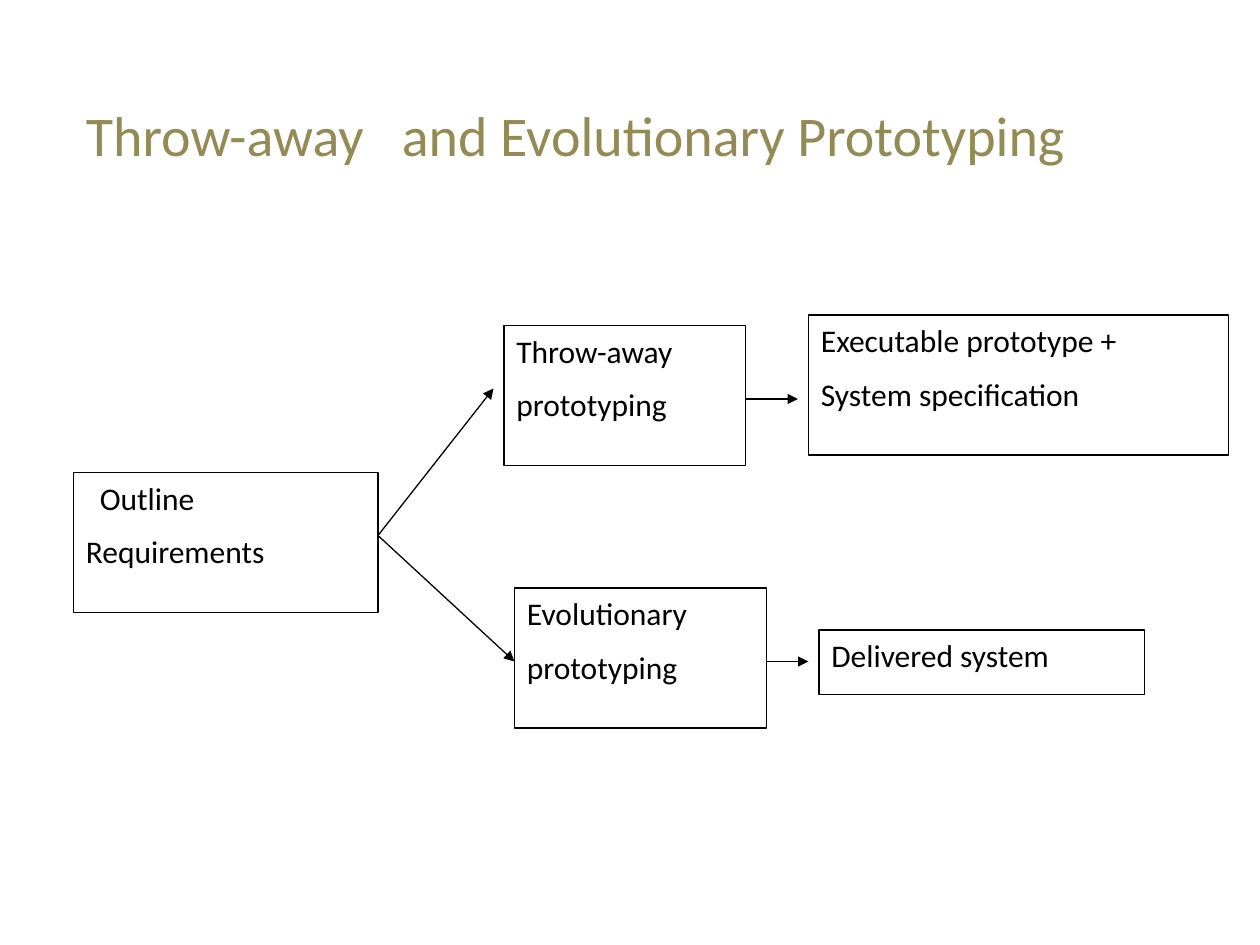
from dataclasses import dataclass

from lxml import etree
from pptx import Presentation
from pptx import util as u
from pptx.dml import color
from pptx.enum import shapes, text
from pptx.oxml import ns


@dataclass(frozen=True)
class Theme:
    font: str = "Calibri"
    title_color: str = "948A54"
    ink: str = "000000"
    title_size: float = 32
    body_size: float = 18
    paragraph_gap: float = 9
    line_width: float = 0.75


class Diagram:
    """Draws styled text, boxes and arrows on one slide."""

    def __init__(self, page, theme):
        self.page = page
        self.theme = theme

    def add_lines(self, shape, lines, size, ink):
        frame = shape.text_frame
        frame.word_wrap = True
        frame.vertical_anchor = text.MSO_ANCHOR.TOP
        for index, line in enumerate(lines):
            para = frame.add_paragraph() if index else frame.paragraphs[0]
            para.alignment = text.PP_ALIGN.LEFT
            if index:
                para.space_before = u.Pt(self.theme.paragraph_gap)
            span = para.add_run()
            span.text = line
            span.font.name = self.theme.font
            span.font.size = u.Pt(size)
            span.font.color.rgb = color.RGBColor.from_string(ink)
        return frame.paragraphs[0]

    def title(self, left, top, width, height, line, tab_stop):
        box = self.page.shapes.add_textbox(*map(u.Pt, (left, top, width, height)))
        para = self.add_lines(box, [line], self.theme.title_size, self.theme.title_color)
        tabs = etree.SubElement(para._p.get_or_add_pPr(), ns.qn("a:tabLst"))
        etree.SubElement(tabs, ns.qn("a:tab"), pos=str(u.Pt(tab_stop)), algn="l")

    def box(self, left, top, width, height, lines, first_indent=0):
        box = self.page.shapes.add_shape(
            shapes.MSO_SHAPE.RECTANGLE, *map(u.Pt, (left, top, width, height)))
        box.shadow.inherit = False
        box.fill.background()
        self.outline(box)
        para = self.add_lines(box, lines, self.theme.body_size, self.theme.ink)
        if first_indent:
            para._p.get_or_add_pPr().set("indent", str(u.Pt(first_indent)))

    def arrow(self, start, end):
        arrow = self.page.shapes.add_connector(
            shapes.MSO_CONNECTOR.STRAIGHT, *map(u.Pt, (*start, *end)))
        self.outline(arrow)
        etree.SubElement(arrow.line._get_or_add_ln(), ns.qn("a:tailEnd"),
                         type="triangle", w="med", len="med")
        etree.SubElement(arrow._element.spPr, ns.qn("a:effectLst"))

    def outline(self, shape):
        shape.line.color.rgb = color.RGBColor.from_string(self.theme.ink)
        shape.line.width = u.Pt(self.theme.line_width)


def main():
    deck = Presentation()
    deck.slide_width, deck.slide_height = u.Pt(720), u.Pt(540)
    diagram = Diagram(deck.slides.add_slide(deck.slide_layouts[6]), Theme())

    diagram.title(42, 54, 630, 104, "Throw-away\tand Evolutionary Prototyping", 180.5)

    tall, short = 80, 37
    diagram.box(42, 270, 174, tall, ["Outline", "Requirements"], first_indent=8)
    diagram.box(288, 186, 138, tall, ["Throw-away", "prototyping"])
    diagram.box(294, 336, 144, tall, ["Evolutionary", "prototyping"])
    diagram.box(462, 180, 240, tall, ["Executable prototype +", "System specification"])
    diagram.box(468, 360, 186, short, ["Delivered system"])

    fork = (216, 306)
    diagram.arrow(fork, (282, 222))
    diagram.arrow(fork, (294, 378))
    diagram.arrow((426, 228), (456, 228))
    diagram.arrow((438, 378), (462, 378))

    deck.save("out.pptx")


if __name__ == "__main__":
    main()
